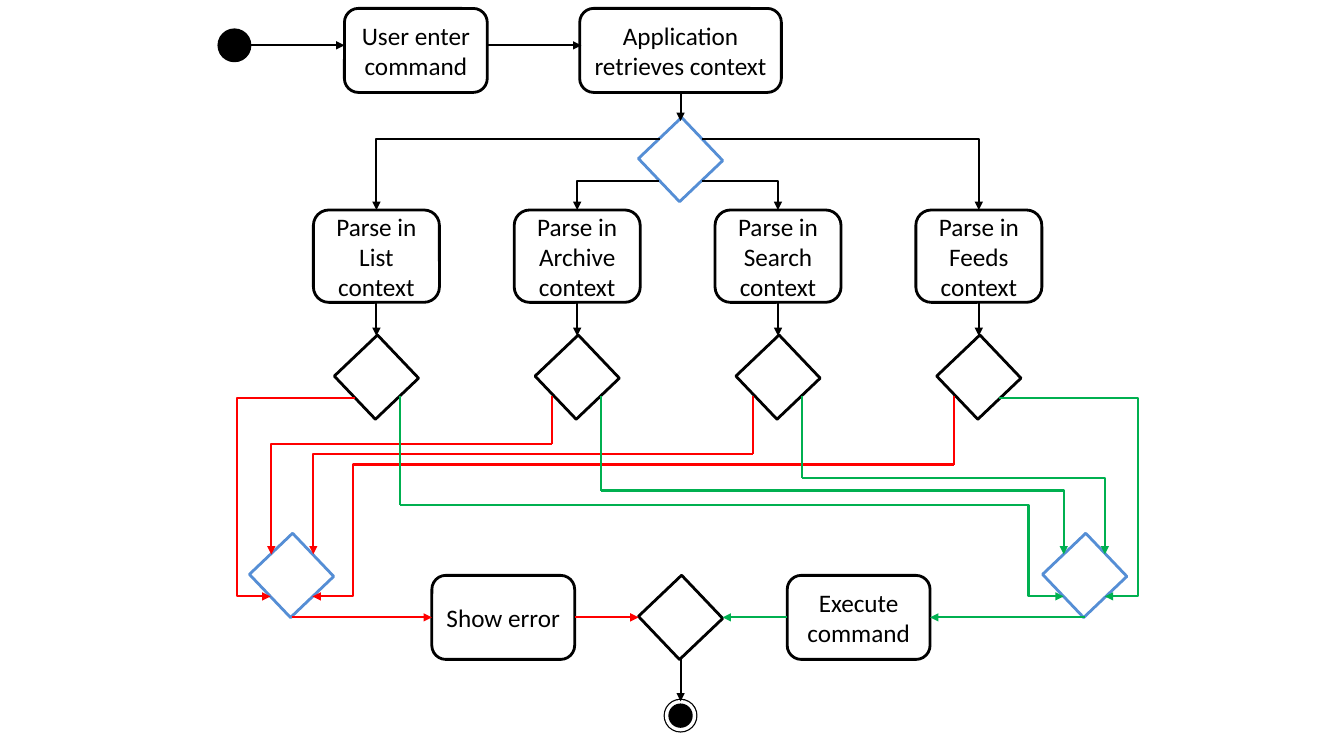
from lxml.etree import SubElement
from pptx import Presentation
from pptx.dml.color import RGBColor
from pptx.enum.shapes import MSO_CONNECTOR, MSO_SHAPE
from pptx.enum.text import MSO_ANCHOR, PP_ALIGN
from pptx.oxml.ns import qn
from pptx.util import Inches, Pt

BLACK = RGBColor(0x00, 0x00, 0x00)
WHITE = RGBColor(0xFF, 0xFF, 0xFF)
RED = RGBColor(0xFF, 0x00, 0x00)
GREEN = RGBColor(0x00, 0xB0, 0x50)
BLUE = RGBColor(0x55, 0x8E, 0xD5)

deck = Presentation()
deck.slide_width = Inches(13.33)
deck.slide_height = Inches(7.5)
slide = deck.slides.add_slide(deck.slide_layouts[6])
cell = deck.slide_height / 90


def put(kind, mid, row, wide, high, line, fill=None):
    spot = [round(n * cell) for n in (mid - wide / 2, row - high / 2, wide, high)]
    node = slide.shapes.add_shape(kind, *spot)
    node.shadow.inherit = False
    if fill is None:
        node.fill.background()
    else:
        node.fill.solid()
        node.fill.fore_color.rgb = fill
    node.line.color.rgb = line
    node.line.width = Pt(2)
    return node


def link(start, end, color, turn=None, head=True):
    kind = MSO_CONNECTOR.STRAIGHT if turn is None else MSO_CONNECTOR.ELBOW
    ends = [round(n * cell) for n in (*start, *end)]
    wire = slide.shapes.add_connector(kind, *ends)
    wire.line.color.rgb = color
    wire.line.width = Pt(1.5)
    props = wire._element.spPr
    if head:
        SubElement(props.find(qn("a:ln")), qn("a:tailEnd"), type="triangle")
    SubElement(props, qn("a:effectLst"))
    if turn is not None:
        bend = round(100000 * (turn - start[0]) / (end[0] - start[0]))
        guides = props.find(qn("a:prstGeom")).find(qn("a:avLst"))
        SubElement(guides, qn("a:gd"), name="adj1", fmla=f"val {bend}")


lanes = [44.8 + 23.9 * n for n in range(4)]
names = ["List", "Archive", "Search", "Feeds"]
hub = 81
left, right = 34.7, 129.1

steps = [
    ("User enter command", 49.5, 6, 17, 10),
    ("Application retrieves context", hub, 6, 24, 10),
    ("Show error", 59.9, 73.5, 17, 10),
    ("Execute command", 102.2, 73.5, 17, 10),
]
steps += [(f"Parse in {name} context", lane, 30.5, 15, 11) for name, lane in zip(names, lanes)]
for words, mid, row, wide, high in steps:
    frame = put(MSO_SHAPE.ROUNDED_RECTANGLE, mid, row, wide, high, BLACK).text_frame
    frame.word_wrap = True
    frame.vertical_anchor = MSO_ANCHOR.MIDDLE
    para = frame.paragraphs[0]
    para.text = words
    para.alignment = PP_ALIGN.CENTER
    para.font.name = "Calibri"
    para.font.size = Pt(18)
    para.font.color.rgb = BLACK

gates = [(hub, 19, BLUE), (left, 68.5, BLUE), (right, 68.5, BLUE), (hub, 73.5, BLACK)]
gates += [(lane, 44.9, BLACK) for lane in lanes]
for mid, row, color in gates:
    put(MSO_SHAPE.RECTANGLE, mid, row, 7.1, 7.1, color).rotation = 46.4

put(MSO_SHAPE.OVAL, 27.9, 5.4, 3.7, 3.7, BLACK, BLACK)
for size, line, fill in [(3.7, BLACK, BLACK), (3.4, WHITE, WHITE), (2.9, BLACK, BLACK)]:
    ring = put(MSO_SHAPE.OVAL, hub, 85.2, size, size, line, fill)
ring.line.fill.background()

for start, end, color in [
    ((29.8, 5.4), (41, 5.4), BLACK),
    ((58, 5.4), (69.2, 5.4), BLACK),
    ((hub, 11), (hub, 14.4), BLACK),
    ((hub, 78.5), (hub, 83.5), BLACK),
    ((left, 73.5), (51.4, 73.5), RED),
    ((68.4, 73.5), (76, 73.5), RED),
    ((right, 73.5), (110.7, 73.5), GREEN),
    ((93.7, 73.5), (86, 73.5), GREEN),
]:
    link(start, end, color)

for lane, side, row in zip(lanes, (-2.5, -2.5, 2.5, 2.5), (16.5, 21.5, 21.5, 16.5)):
    link((hub + side, row), (lane, 25), BLACK, lane)
    link((lane, 36), (lane, 40), BLACK)

for lane, side, row, turn, end, color in [
    (1, -3, 52.9, left - 2.4, (left - 2.4, 66), RED),
    (2, -3, 54, left + 2.6, (left + 2.6, 66), RED),
    (3, -3, 55.3, 42, (left + 2.5, 71), RED),
    (0, 2.8, 60.1, 122.4, (right - 2.5, 71), GREEN),
    (1, 2.8, 58.4, right - 2.5, (right - 2.5, 66), GREEN),
    (2, 2.8, 56.9, right + 2.4, (right + 2.4, 66), GREEN),
]:
    bend = (lanes[lane] + side, row)
    link((bend[0], 47.1), bend, color, head=False)
    link(bend, end, color, turn)

link((lanes[0] - 2.6, 47.4), (left - 2.5, 71), RED, 28.2)
link((lanes[3] + 2.4, 47.4), (right + 2.4, 71), GREEN, 135.4)

deck.save("out.pptx")
